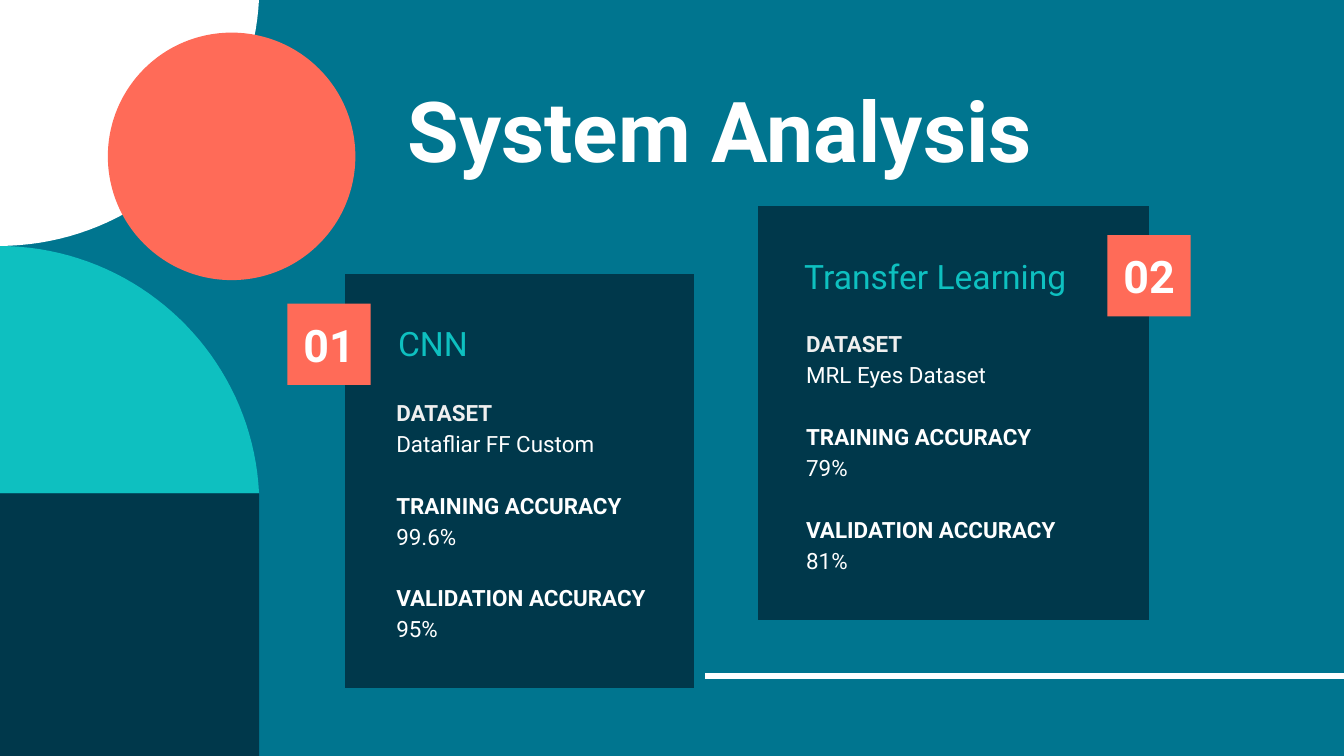
from lxml import etree
from pptx import Presentation
from pptx.dml.color import RGBColor
from pptx.enum import shapes, text
from pptx.util import Pt

# Content
TITLE = "System Analysis"
CARDS = [
    {"num": "01", "name": "CNN",
     "facts": [("DATASET", "Datafliar FF Custom"),
               ("TRAINING ACCURACY", "99.6%"),
               ("VALIDATION ACCURACY", "95%")],
     "panel": (181.8, 143.6, 193, 228.2), "badge": (154, 162.7),
     "head": (182.2, 166.3, 99.4, 35.3), "list": (205.2, 207.4)},
    {"num": "02", "name": "Transfer Learning",
     "facts": [("DATASET", "MRL Eyes Dataset"),
               ("TRAINING ACCURACY", "79%"),
               ("VALIDATION ACCURACY", "81%")],
     "panel": (403.2, 107.3, 215.3, 228.2), "badge": (593.3, 126),
     "head": (419, 130.3, 164.2, 35.3), "list": (424.8, 170.6)},
]
LIST = (164.2, 141.1)
BADGE = (44.6, 43.6)

# Theme
THEME = {
    "font": "Roboto", "back": "00758F", "dark": "00384B", "teal": "0EC0C0",
    "coral": "FF6B58", "white": "FFFFFF", "pale": "EFEFEF",
    "title": 45, "num": 24, "head": 18, "body": 12,
}
ALIGN = text.PP_ALIGN
KIND = shapes.MSO_SHAPE


def color(name):
    return RGBColor.from_string(THEME[name])


def paint(shape, fill, edge=None):
    shape.shadow.inherit = False
    shape.fill.solid()
    shape.fill.fore_color.rgb = color(fill)
    if edge:
        shape.line.color.rgb = color(edge)
        shape.line.width = Pt(6)
    else:
        shape.line.fill.background()


def block(slide, kind, box, fill, edge=None):
    shape = slide.shapes.add_shape(kind, *map(Pt, box))
    paint(shape, fill, edge)
    return shape


def style(para, size, tint, bold=False, align=ALIGN.LEFT):
    para.alignment = align
    for run in para.runs:
        font = run.font
        font.name, font.size, font.bold = THEME["font"], Pt(THEME[size]), bold
        font.color.rgb = color(tint)


def frame(shape):
    body = shape.text_frame
    body.word_wrap = True
    body.auto_size = text.MSO_AUTO_SIZE.NONE
    body.vertical_anchor = text.MSO_ANCHOR.MIDDLE
    body.margin_left = body.margin_right = Pt(7.2)
    body.margin_top = body.margin_bottom = Pt(7.2)
    return body


def label(shape, words, *look):
    body = frame(shape)
    body.text = words
    style(body.paragraphs[0], *look)


def quarter(slide, way, fill):
    """Quarter disc that meets the left edge at the joint; way is 1 down, -1 up."""
    left, joint, deep = -0.7, 131.8, 132.5
    curve = [(0, 0), (75, 0), (136, 59), (139.5, deep)]
    dots = []
    for step in range(41):
        t = step / 40
        mix = ((1 - t) ** 3, 3 * t * (1 - t) ** 2, 3 * t * t * (1 - t), t ** 3)
        x, y = (sum(m * p[i] for m, p in zip(mix, curve)) for i in (0, 1))
        dots.append((Pt(left + x), Pt(joint + way * y)))
    dots.append((Pt(left), Pt(joint + way * deep)))
    path = slide.shapes.build_freeform(*dots[0])
    path.add_line_segments(dots[1:], close=True)
    paint(path.convert_to_shape(), fill)


def backdrop(slide):
    slide.background.fill.solid()
    slide.background.fill.fore_color.rgb = color("back")
    rule = slide.shapes.add_connector(
        shapes.MSO_CONNECTOR.STRAIGHT, Pt(360), Pt(362.2), Pt(720), Pt(362.2))
    rule.line.color.rgb = color("white")
    rule.line.width = Pt(3)
    props = rule._element.spPr
    etree.SubElement(
        props, "{http://schemas.openxmlformats.org/drawingml/2006/main}effectLst")
    quarter(slide, 1, "teal")
    quarter(slide, -1, "white")
    block(slide, KIND.RECTANGLE, (-0.7, 264.3, 139.5, 140.7), "dark")
    block(slide, KIND.OVAL, (57.8, 17.5, 132.6, 132.6), "coral")


def facts(slide, card):
    box = slide.shapes.add_textbox(*map(Pt, card["list"] + LIST))
    body = frame(box)
    body.text = "\n".join(line for pair in card["facts"] for line in pair)
    for i, para in enumerate(body.paragraphs):
        para.line_spacing = 1.15
        lead = i % 2 == 0
        if lead and i:
            para.space_before = Pt(16.5)
        style(para, "body", "white" if i else "pale", lead)


def draw(slide, card):
    block(slide, KIND.RECTANGLE, card["panel"], "dark", "back")
    facts(slide, card)
    head = slide.shapes.add_textbox(*map(Pt, card["head"]))
    label(head, card["name"], "head", "teal", False, ALIGN.CENTER)
    badge = block(slide, KIND.RECTANGLE, card["badge"] + BADGE, "coral")
    label(badge, card["num"], "num", "white", True, ALIGN.CENTER)


def main():
    deck = Presentation()
    deck.slide_width, deck.slide_height = Pt(720), Pt(405)
    slide = deck.slides.add_slide(deck.slide_layouts[5])
    backdrop(slide)

    # Title
    title = slide.shapes.title
    title.left, title.top, title.width, title.height = map(
        Pt, (29.5, 31.7, 530.6, 74.9))
    label(title, TITLE, "title", "white", True, ALIGN.RIGHT)

    # Model cards
    for card in CARDS:
        draw(slide, card)
    deck.save("out.pptx")


if __name__ == "__main__":
    main()
